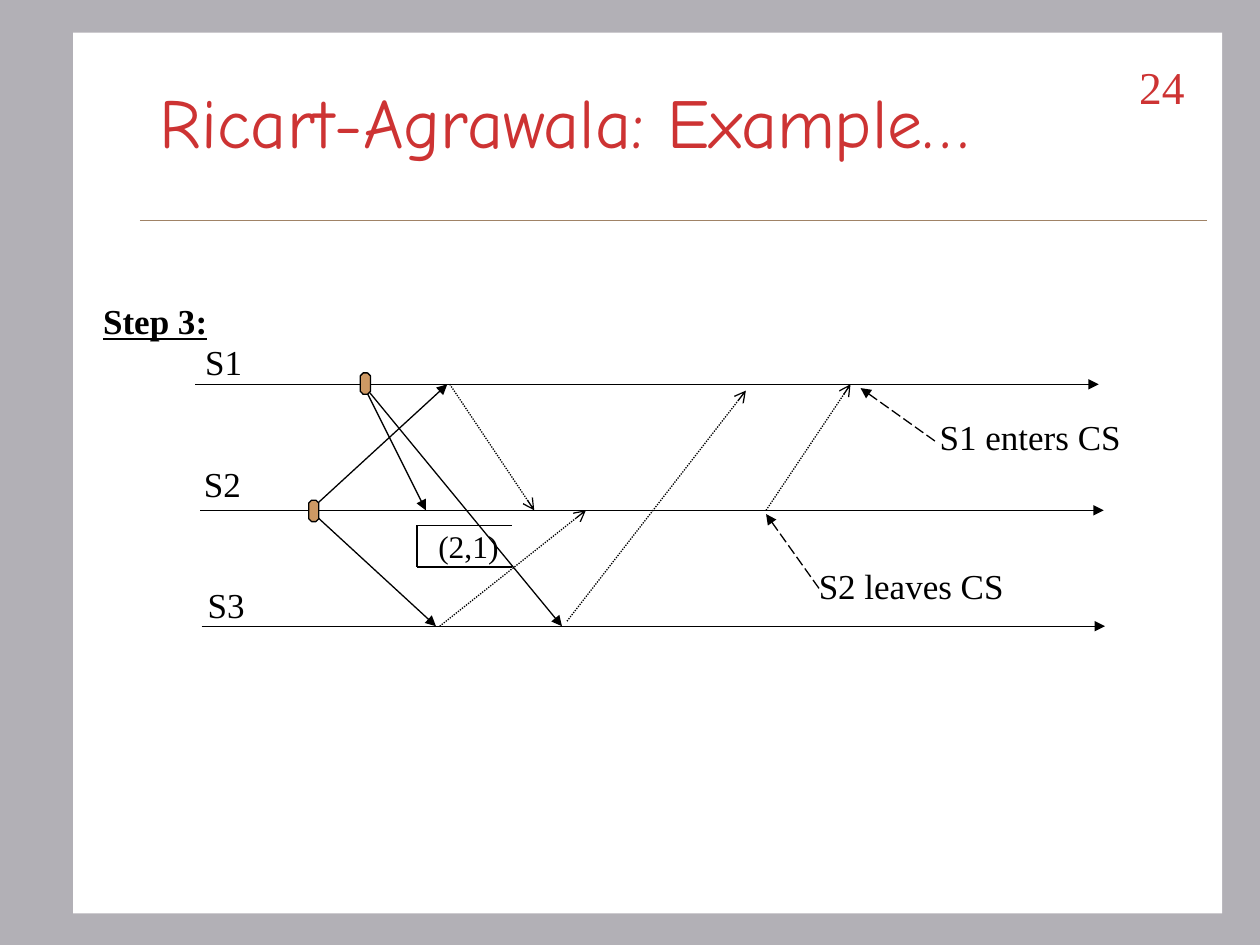
"""Builds the Ricart-Agrawala timing diagram slide."""
from pptx import Presentation
from pptx.dml.color import RGBColor
from pptx.enum import dml, shapes, text
from pptx.oxml import xmlchemy as xml
from pptx.util import Inches, Pt

SERIF, HAND = "Times New Roman", "Comic Neue"
BLACK, RED, TAN = "000000", "CD3333", "CE9964"
DASH = dml.MSO_LINE
S1_Y, S2_Y, S3_Y = 3.05, 4.05, 4.97
S1_REQUEST, S2_REQUEST = (2.88, S1_Y), (2.46, S2_Y)


def paint(color_format, value):
    """Set a colour from a hex string."""
    color_format.rgb = RGBColor.from_string(value)


def add_panel(slide, box, kind, fill, outline=None):
    """Add a filled preset shape with an optional outline."""
    panel = slide.shapes.add_shape(kind, *map(Inches, box))
    panel.shadow.inherit = False
    panel.fill.solid()
    paint(panel.fill.fore_color, fill)
    if outline:
        paint(panel.line.color, outline)
        panel.line.width = Pt(0.75)
    else:
        panel.line.fill.background()
    return panel


def add_line(slide, start, end, head=None, dash=None, color=BLACK, width=0.75):
    """Add a straight line with an optional arrowhead at its end."""
    link = slide.shapes.add_connector(shapes.MSO_CONNECTOR.STRAIGHT,
                                      *map(Inches, (*start, *end)))
    paint(link.line.color, color)
    link.line.width = Pt(width)
    if dash:
        link.line.dash_style = dash
    if head:
        tail_end = xml.OxmlElement("a:tailEnd")
        tail_end.set("type", head)
        link._element.spPr.get_or_add_ln().append(tail_end)
    link._element.spPr.append(xml.OxmlElement("a:effectLst"))


def add_text(slide, box, wording, size=20, color=BLACK, face=SERIF, wrap=False):
    """Add one line of text, in a box fitted to it unless it wraps."""
    frame = slide.shapes.add_textbox(*map(Inches, box)).text_frame
    frame.word_wrap = wrap
    if not wrap:
        frame.auto_size = text.MSO_AUTO_SIZE.SHAPE_TO_FIT_TEXT
    line = frame.paragraphs[0]
    line.text = wording
    line.font.name, line.font.size = face, Pt(size)
    paint(line.font.color, color)
    return frame


def add_frame(slide):
    """Add the background, page, title, rule and slide number."""
    slide.background.fill.solid()
    paint(slide.background.fill.fore_color, "B2B0B6")
    add_panel(slide, (0.58, 0.26, 9.12, 6.99), shapes.MSO_SHAPE.RECTANGLE, "FFFFFF")
    add_line(slide, (1.11, 1.75), (9.58, 1.75), color="A08366", width=0.25)
    number = add_text(slide, (8.67, 0.42, 0.83, 0.5), "24", 26, RED, wrap=True)
    number.paragraphs[0].alignment = text.PP_ALIGN.RIGHT
    title = add_text(slide, (1.17, 0.33, 8.5, 1.25), "Ricart-Agrawala: Example…",
                     40, RED, HAND, wrap=True)
    title.vertical_anchor = text.MSO_ANCHOR.MIDDLE


def add_timelines(slide):
    """Add the labelled time axis of each site."""
    for name, x, y, label_x, label_y in (("S1", 1.55, S1_Y, 1.53, 2.65),
                                         ("S2", 1.59, S2_Y, 1.52, 3.62),
                                         ("S3", 1.6, S3_Y, 1.55, 4.58)):
        add_line(slide, (x, y), (x + 7.17, y), "triangle")
        add_text(slide, (label_x, label_y, 0.5, 0.43), name)


def add_messages(slide):
    """Add the requests, the replies and the request markers."""
    for start, end in ((S1_REQUEST, (3.38, S2_Y)), (S1_REQUEST, (4.46, S3_Y)),
                       (S2_REQUEST, (3.55, S1_Y)), (S2_REQUEST, (3.46, S3_Y))):
        add_line(slide, start, end, "triangle")
    for start, end in (((3.57, S1_Y), (4.24, S2_Y)), ((3.49, S3_Y), (4.65, S2_Y)),
                       ((4.5, 4.93), (5.92, 3.1)), ((6.08, S2_Y), (6.75, S1_Y))):
        add_line(slide, start, end, "arrow", DASH.ROUND_DOT)
    for x, y in ((2.86, 2.96), (2.45, 3.97)):
        marker = add_panel(slide, (x, y, 0.08, 0.17), shapes.MSO_SHAPE.OCTAGON, TAN, BLACK)
        marker.adjustments[0] = 0.29


def add_queue(slide):
    """Add the open box that holds the deferred request."""
    left, right, top, bottom = 3.31, 4.06, 4.17, 4.5
    for start, end in (((right, top), (left, top)), ((left, top), (left, bottom)),
                       ((right, bottom), (left, bottom))):
        add_line(slide, start, end)
    add_text(slide, (3.38, 4.13, 0.68, 0.4), "(2,1)", 18)


def add_notes(slide):
    """Add the step heading and the critical section notes."""
    heading = add_text(slide, (0.72, 2.33, 1.03, 0.43), "Step 3:").paragraphs[0].font
    heading.bold = heading.underline = True
    for wording, box, start, end in (
            ("S1 enters CS", (7.36, 3.25, 1.64, 0.43), (7.42, 3.5), (6.83, 3.08)),
            ("S2 leaves CS", (6.4, 4.43, 1.67, 0.43), (6.5, 4.67), (6.08, 4.08))):
        add_text(slide, box, wording)
        add_line(slide, start, end, "triangle", DASH.LONG_DASH)


def main():
    """Build and save the slide."""
    deck = Presentation()
    deck.slide_width, deck.slide_height = Inches(10), Inches(7.5)
    slide = deck.slides.add_slide(deck.slide_layouts[6])
    for add_part in (add_frame, add_timelines, add_messages, add_queue, add_notes):
        add_part(slide)
    deck.save("out.pptx")


main()
